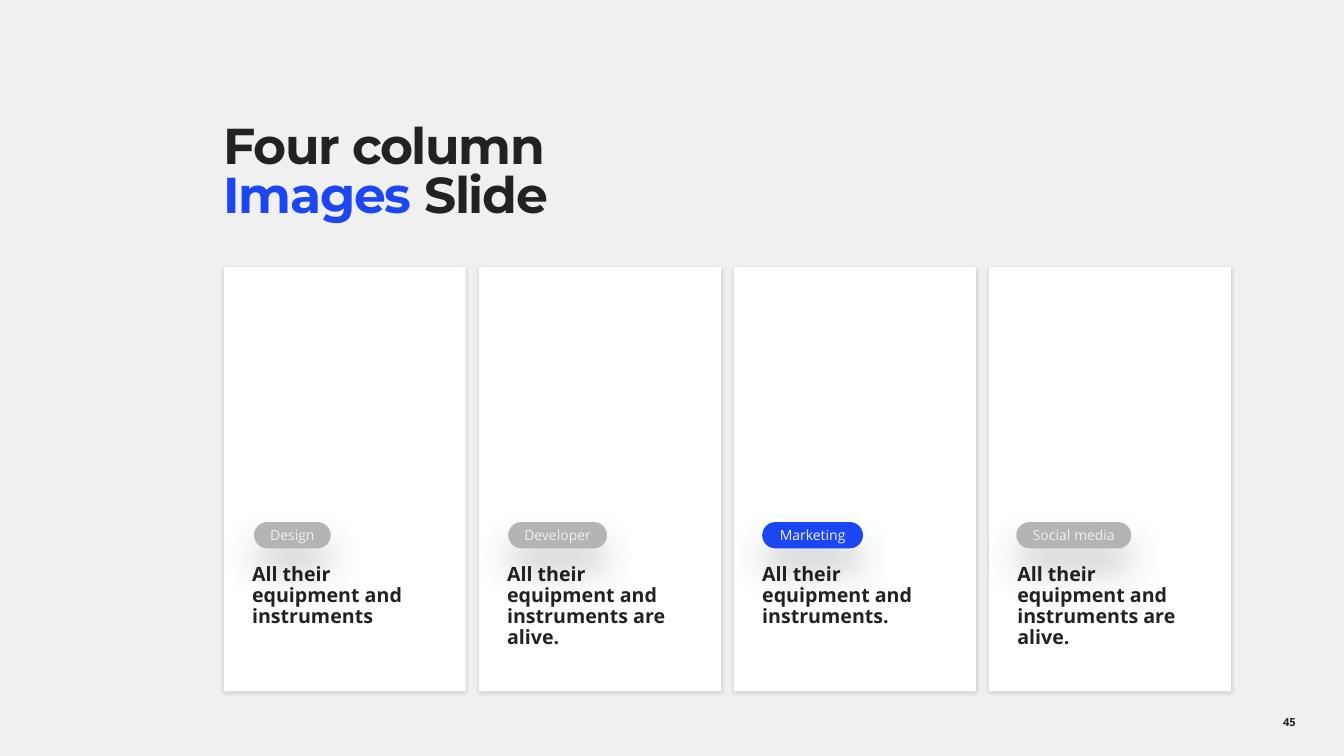
"""Build a slide with a two-tone title and four captioned, tagged columns."""
from lxml import etree
from pptx import Presentation
from pptx.dml.color import RGBColor
from pptx.enum.shapes import MSO_SHAPE
from pptx.enum.text import MSO_ANCHOR, MSO_AUTO_SIZE, PP_ALIGN
from pptx.oxml.ns import qn
from pptx.util import Inches, Pt

RECT, PILL = MSO_SHAPE.RECTANGLE, MSO_SHAPE.ROUNDED_RECTANGLE
TOP, MIDDLE = MSO_ANCHOR.TOP, MSO_ANCHOR.MIDDLE
LEFT, CENTER = PP_ALIGN.LEFT, PP_ALIGN.CENTER
NO_FIT = MSO_AUTO_SIZE.NONE

COLORS = {"back": "F0F0F0", "card": "FEFFFF", "ink": "222222",
          "blue": "1D46F3", "gray": "B4B4B4", "shadow": "000000"}

TITLE = [("Four column", "ink"), ("\n", "ink"), ("Images", "blue"), (" Slide", "ink")]
PAGE = "45"
COLUMNS = [
    ("Design", 0.76, "gray", "All their equipment and instruments"),
    ("Developer", 0.98, "gray", "All their equipment and instruments are alive."),
    ("Marketing", 1, "blue", "All their equipment and instruments."),
    ("Social media", 1.14, "gray", "All their equipment and instruments are alive."),
]

CARD_X, CARD_Y, CARD_W, CARD_H, CARD_STEP = 2.22, 2.65, 2.4, 4.21, 2.53
TAG_X, TAG_Y, TAG_H, TAG_STEP = 2.52, 5.18, 0.26, 2.52
CARD_INSETS = (0.28, 2.95, 0.28, 0.05)
TITLE_INSETS = (0, 0.21, 0, 0)
CARD_SHADOW = {"alpha": 15, "blur": 3, "dist": 1}
TAG_SHADOW = {"alpha": 21, "blur": 27, "dist": 15}

TITLE_FONT = {"name": "Montserrat", "size": Pt(36), "bold": True}
CARD_FONT = {"name": "Open Sans", "size": Pt(14), "bold": True}
TAG_FONT = {"name": "Open Sans", "size": Pt(10), "bold": False}
PAGE_FONT = {"name": "Open Sans", "size": Pt(8), "bold": True}


def rgb(key):
    return RGBColor.from_string(COLORS[key])


def style_frame(tf, anchor, insets=None, wrap=True):
    values = {"vertical_anchor": anchor, "word_wrap": wrap, "auto_size": NO_FIT}
    if insets:
        sides = ("margin_left", "margin_top", "margin_right", "margin_bottom")
        values.update(zip(sides, map(Inches, insets)))
    for name, value in values.items():
        setattr(tf, name, value)


def add_run(p, text, font, color):
    r = p.add_run()
    r.text = text
    for name, value in font.items():
        setattr(r.font, name, value)
    r.font.color.rgb = rgb(color)
    return r


def write(tf, text, font, color, align, spacing=1.0):
    p = tf.paragraphs[0]
    p.alignment, p.line_spacing = align, spacing
    add_run(p, text, font, color)


def add_shadow(sp, alpha, blur, dist):
    sp.shadow.inherit = False
    effects = sp.element.spPr.find(qn("a:effectLst"))
    shadow = etree.SubElement(effects, qn("a:outerShdw"), blurRad=str(Pt(blur)),
                              dist=str(Pt(dist)), dir="5400000", algn="t",
                              rotWithShape="0")
    color = etree.SubElement(shadow, qn("a:srgbClr"), val=COLORS["shadow"])
    etree.SubElement(color, qn("a:alpha"), val=str(alpha * 1000))


def add_block(s, kind, box, fill, shadow):
    sp = s.shapes.add_shape(kind, *map(Inches, box))
    sp.fill.solid()
    sp.fill.fore_color.rgb = rgb(fill)
    sp.line.fill.background()
    add_shadow(sp, **shadow)
    return sp


def add_title(s):
    title = s.shapes.title
    title.left, title.top, title.width, title.height = map(Inches, (2.22, 1.04, 10.01, 1.37))
    style_frame(title.text_frame, TOP, TITLE_INSETS)
    p = title.text_frame.paragraphs[0]
    p.alignment, p.line_spacing = LEFT, 0.8
    for text, color in TITLE:
        if text == "\n":
            p.add_line_break()
            continue
        r = add_run(p, text, TITLE_FONT, color)
        r.font._element.set("spc", "-100")


def add_columns(s):
    for i, (_, _, _, caption) in enumerate(COLUMNS):
        box = (CARD_X + i * CARD_STEP, CARD_Y, CARD_W, CARD_H)
        card = add_block(s, RECT, box, "card", CARD_SHADOW)
        style_frame(card.text_frame, TOP, CARD_INSETS)
        write(card.text_frame, caption, CARD_FONT, "ink", LEFT, 0.89)
    for i, (label, width, fill, _) in enumerate(COLUMNS):
        box = (TAG_X + i * TAG_STEP, TAG_Y, width, TAG_H)
        tag = add_block(s, PILL, box, fill, TAG_SHADOW)
        tag.adjustments[0] = 0.5
        style_frame(tag.text_frame, MIDDLE, wrap=False)
        write(tag.text_frame, label, TAG_FONT, "back", CENTER)


def main():
    prs = Presentation()
    prs.slide_width, prs.slide_height = Inches(13.33), Inches(7.5)
    s = prs.slides.add_slide(prs.slide_layouts[5])
    s.background.fill.solid()
    s.background.fill.fore_color.rgb = rgb("back")
    add_title(s)
    add_columns(s)
    page = s.shapes.add_textbox(*map(Inches, (12.24, 6.96, 1.1, 0.4)))
    style_frame(page.text_frame, MIDDLE)
    write(page.text_frame, PAGE, PAGE_FONT, "ink", CENTER)
    prs.save("out.pptx")


if __name__ == "__main__":
    main()
